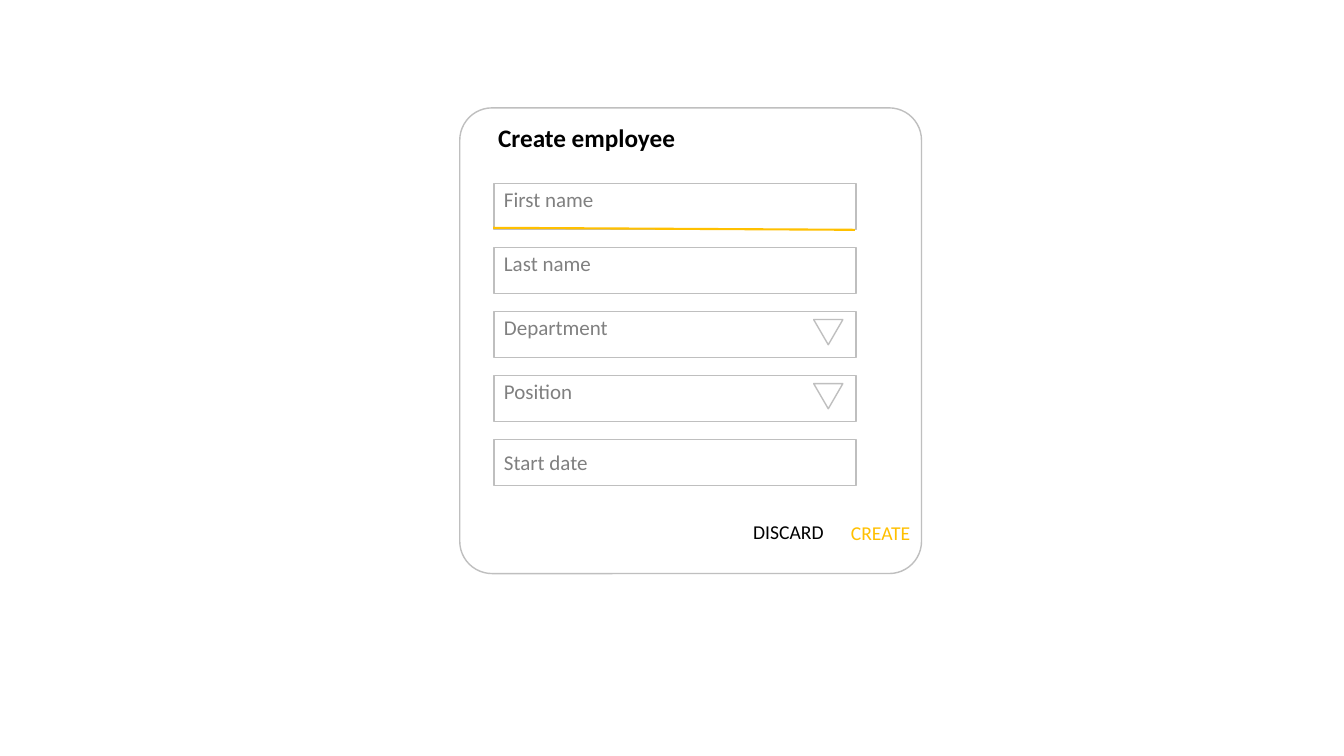
import pptx
import pptx.dml.color
import pptx.enum.shapes
import pptx.enum.text
import pptx.oxml.ns
import pptx.util
from lxml import etree

Inches = pptx.util.Inches
Preset = pptx.enum.shapes.MSO_SHAPE

COLORS = {"border": "BFBFBF", "hint": "808080", "accent": "FFC000", "text": "000000"}
FONT = "Calibri"

TITLE = "Create employee"
# label, label offset from the field's top, whether it is a drop-down
FIELDS = [
    ("First name", -0.02, False),
    ("Last name", -0.02, False),
    ("Department", -0.02, True),
    ("Position", -0.02, True),
    ("Start date", 0.05, False),
]
# label, colour, left, top, width
BUTTONS = [
    ("CREATE", "accent", 8.34, 5.12, 0.8),
    ("DISCARD", "text", 7.37, 5.11, 0.91),
]

FIELD_LEFT, FIELD_WIDTH, FIELD_HEIGHT = 4.9, 3.59, 0.46
FIRST_TOP, LAST_TOP = 1.82, 4.36
FIELD_PITCH = (LAST_TOP - FIRST_TOP) / (len(FIELDS) - 1)


def rgb(color):
    return pptx.dml.color.RGBColor.from_string(COLORS[color])


def add_outline(slide, preset, left, top, width, height):
    shape = slide.shapes.add_shape(
        preset, Inches(left), Inches(top), Inches(width), Inches(height))
    shape.shadow.inherit = False
    shape.fill.background()
    shape.line.color.rgb = rgb("border")
    shape.line.width = pptx.util.Pt(1)
    return shape


def write(shape, text, size, color, bold=False, wrap=True):
    frame = shape.text_frame
    frame.word_wrap = wrap
    frame.auto_size = pptx.enum.text.MSO_AUTO_SIZE.SHAPE_TO_FIT_TEXT
    frame.vertical_anchor = pptx.enum.text.MSO_ANCHOR.TOP
    paragraph = frame.paragraphs[0]
    paragraph.alignment = pptx.enum.text.PP_ALIGN.LEFT
    run = paragraph.add_run()
    run.text = text
    run.font.name = FONT
    run.font.size = pptx.util.Pt(size)
    run.font.bold = bold
    run.font.color.rgb = rgb(color)


def add_label(slide, text, size, color, left, top, width, height, wrap=True):
    box = slide.shapes.add_textbox(
        Inches(left), Inches(top), Inches(width), Inches(height))
    write(box, text, size, color, wrap=wrap)


def add_focus_line(slide):
    """Underline the first field, which has the focus."""
    line = slide.shapes.add_connector(
        pptx.enum.shapes.MSO_CONNECTOR.STRAIGHT,
        Inches(4.89), Inches(2.26), Inches(8.48), Inches(2.28))
    line.line.color.rgb = rgb("accent")
    line.line.width = pptx.util.Pt(1.5)
    etree.SubElement(line._element.spPr, pptx.oxml.ns.qn("a:effectLst"))


def main():
    presentation = pptx.Presentation()
    presentation.slide_width = Inches(13.33)
    presentation.slide_height = Inches(7.5)
    slide = presentation.slides.add_slide(presentation.slide_layouts[5])

    card = add_outline(slide, Preset.ROUNDED_RECTANGLE, 4.56, 1.07, 4.58, 4.62)
    card.adjustments[0] = 0.07

    title = slide.shapes.title
    title.left, title.top = Inches(4.84), Inches(1.16)
    title.width, title.height = Inches(2.52), Inches(0.4)
    write(title, TITLE, 18, "text", bold=True)

    for label, color, left, top, width in BUTTONS:
        add_label(slide, label, 14, color, left, top, width, 0.34, wrap=False)

    for index, (label, offset, is_dropdown) in enumerate(FIELDS):
        top = FIRST_TOP + index * FIELD_PITCH
        add_label(slide, label, 15, "hint", FIELD_LEFT, top + offset, 3.13, 0.35)
        add_outline(slide, Preset.RECTANGLE, FIELD_LEFT, top, FIELD_WIDTH, FIELD_HEIGHT)
        if is_dropdown:
            arrow = add_outline(
                slide, Preset.ISOSCELES_TRIANGLE, 8.07, top + 0.08, 0.29, 0.25)
            arrow.rotation = 180

    add_focus_line(slide)
    presentation.save("out.pptx")


if __name__ == "__main__":
    main()
